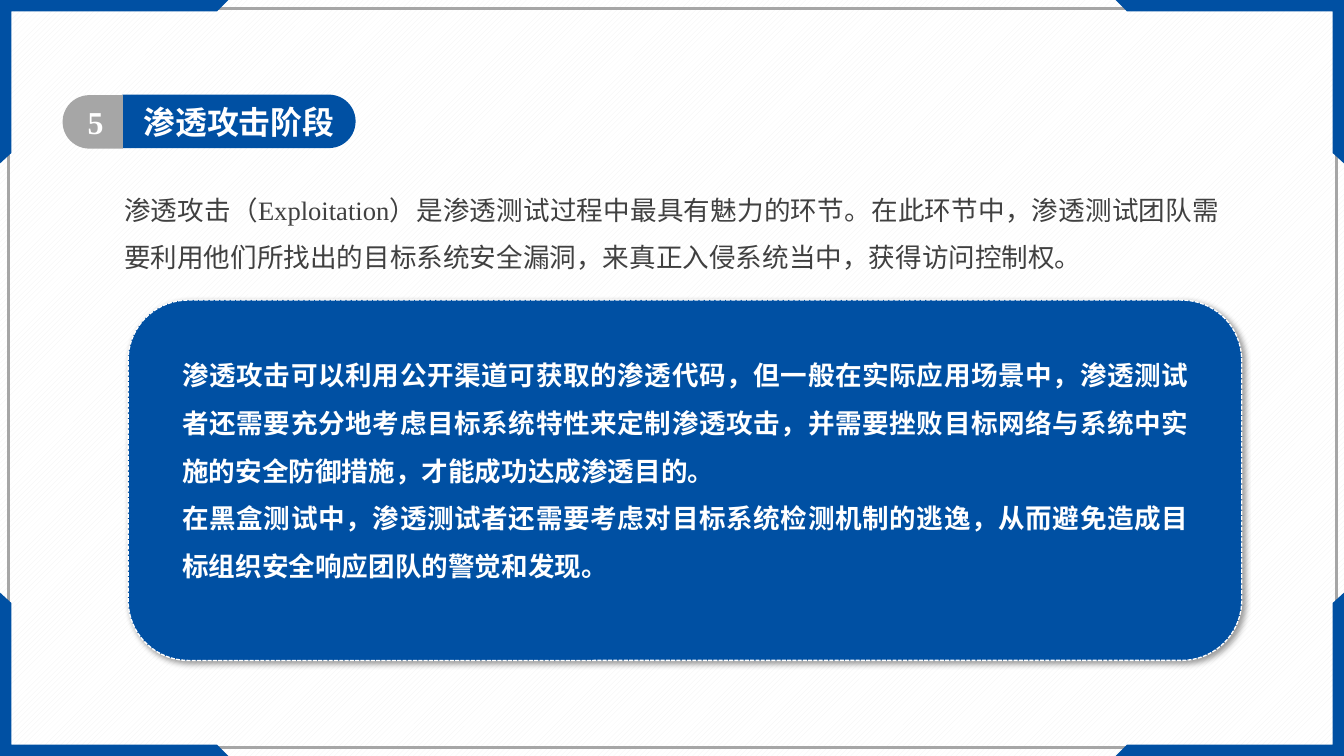
from dataclasses import dataclass
from itertools import product

from lxml.etree import SubElement
from pptx import Presentation
from pptx.dml.color import RGBColor
from pptx.enum.dml import MSO_LINE, MSO_PATTERN
from pptx.enum.shapes import MSO_SHAPE
from pptx.enum.text import MSO_AUTO_SIZE, PP_ALIGN
from pptx.oxml.ns import qn
from pptx.shapes.autoshape import Shape
from pptx.slide import Slide
from pptx.util import Inches, Pt

WIDTH, HEIGHT = 14.06, 7.91
BLUE, GRAY, WHITE, DARK = "0050A3", "A6A6A6", "FFFFFF", "404040"
CORNER = [(0, 0), (2.39, 0), (2.27, 0.12), (0.12, 0.12), (0.12, 1.6), (0, 1.71)]


@dataclass
class Box:
    left: float
    top: float
    width: float
    height: float

    def lengths(self) -> list[int]:
        return [Inches(v) for v in (self.left, self.top, self.width, self.height)]


@dataclass
class PillHalf:
    box: Box
    rotation: int
    color: str


@dataclass
class Passage:
    box: Box
    paragraphs: list[str]
    size: int
    color: str
    bold: bool
    align: PP_ALIGN
    spacing: float
    inset_x: float = 0.1
    inset_y: float = 0.05


PILL = [
    PillHalf(Box(2.22, 0.05, 0.56, 2.44), 90, BLUE),
    PillHalf(Box(0.69, 0.96, 0.56, 0.63), 270, GRAY),
]

PASSAGES = [
    Passage(Box(1.35, 0.99, 2.69, 0.56), ["渗透攻击阶段"],
            24, WHITE, True, PP_ALIGN.LEFT, 1.0, 0.15, 0.08),
    Passage(Box(0.7, 0.99, 0.6, 0.56), ["5"],
            24, WHITE, True, PP_ALIGN.CENTER, 1.0, 0.15, 0.08),
    Passage(Box(1.81, 3.54, 10.72, 2.89), [
        "渗透攻击可以利用公开渠道可获取的渗透代码，但一般在实际应用场景中，渗透测试者还需要充分地考虑目标系统特性来定制渗透攻击，"
        "并需要挫败目标网络与系统中实施的安全防御措施，才能成功达成渗透目的。",
        "在黑盒测试中，渗透测试者还需要考虑对目标系统检测机制的逃逸，从而避免造成目标组织安全响应团队的警觉和发现。",
    ], 20, WHITE, True, PP_ALIGN.JUSTIFY, 1.5),
    Passage(Box(1.2, 1.81, 11.65, 1.05), [
        "渗透攻击（Exploitation）是渗透测试过程中最具有魅力的环节。在此环节中，渗透测试团队需要利用他们所找出的目标系统安全漏洞，"
        "来真正入侵系统当中，获得访问控制权。",
    ], 20, DARK, False, PP_ALIGN.JUSTIFY, 1.5),
]


def rgb(color: str) -> RGBColor:
    return RGBColor.from_string(color)


def fill_plain(shape: Shape, color: str) -> None:
    shape.shadow.inherit = False
    shape.fill.solid()
    shape.fill.fore_color.rgb = rgb(color)
    shape.line.fill.background()


def draw_background(slide: Slide) -> None:
    fill = slide.background.fill
    fill.patterned()
    fill.pattern = MSO_PATTERN.WIDE_UPWARD_DIAGONAL
    fill.fore_color.rgb = rgb("F2F2F2")
    fill.back_color.rgb = rgb(WHITE)


def draw_frame(slide: Slide) -> None:
    frame = slide.shapes.add_shape(
        MSO_SHAPE.RECTANGLE, *Box(0.09, 0.09, 13.89, 7.73).lengths())
    frame.shadow.inherit = False
    frame.fill.background()
    frame.line.color.rgb = rgb(GRAY)
    frame.line.width = Pt(2)


def draw_corner(slide: Slide, at_right: bool, at_bottom: bool) -> None:
    points = [
        (Inches(WIDTH - x if at_right else x), Inches(HEIGHT - y if at_bottom else y))
        for x, y in CORNER
    ]
    builder = slide.shapes.build_freeform(*points[0])
    builder.add_line_segments(points[1:], close=True)
    fill_plain(builder.convert_to_shape(), BLUE)


def draw_pill_half(slide: Slide, half: PillHalf) -> None:
    shape = slide.shapes.add_shape(MSO_SHAPE.ROUND_2_SAME_RECTANGLE, *half.box.lengths())
    shape.adjustments[0] = 0.5
    shape.adjustments[1] = 0
    shape.rotation = half.rotation
    fill_plain(shape, half.color)


def draw_panel(slide: Slide) -> None:
    panel = slide.shapes.add_shape(
        MSO_SHAPE.ROUNDED_RECTANGLE, *Box(1.34, 3.14, 11.65, 3.77).lengths())
    fill_plain(panel, BLUE)
    panel.line.color.rgb = rgb(WHITE)
    panel.line.width = Pt(1)
    panel.line.dash_style = MSO_LINE.SQUARE_DOT
    effects = panel._element.spPr.find(qn("a:effectLst"))
    shadow = SubElement(effects, qn("a:outerShdw"), blurRad=str(Pt(4)), dist=str(Pt(3)),
                        dir=str(45 * 60000), algn="tl", rotWithShape="0")
    shade = SubElement(shadow, qn("a:srgbClr"), val="000000")
    SubElement(shade, qn("a:alpha"), val="40000")


def draw_passage(slide: Slide, passage: Passage) -> None:
    frame = slide.shapes.add_textbox(*passage.box.lengths()).text_frame
    frame.word_wrap = True
    frame.auto_size = MSO_AUTO_SIZE.SHAPE_TO_FIT_TEXT
    frame.margin_left = frame.margin_right = Inches(passage.inset_x)
    frame.margin_top = frame.margin_bottom = Inches(passage.inset_y)
    frame.text = "\n".join(passage.paragraphs)
    for paragraph in frame.paragraphs:
        paragraph.alignment = passage.align
        paragraph.line_spacing = passage.spacing
        paragraph.font.name = "Times New Roman"
        paragraph.font.size = Pt(passage.size)
        paragraph.font.bold = passage.bold
        paragraph.font.color.rgb = rgb(passage.color)


def main() -> None:
    presentation = Presentation()
    presentation.slide_width = Inches(WIDTH)
    presentation.slide_height = Inches(HEIGHT)
    slide = presentation.slides.add_slide(presentation.slide_layouts[6])
    draw_background(slide)
    draw_frame(slide)
    for at_right, at_bottom in product((False, True), repeat=2):
        draw_corner(slide, at_right, at_bottom)
    for half in PILL:
        draw_pill_half(slide, half)
    draw_panel(slide)
    for passage in PASSAGES:
        draw_passage(slide, passage)
    presentation.save("out.pptx")


if __name__ == "__main__":
    main()
